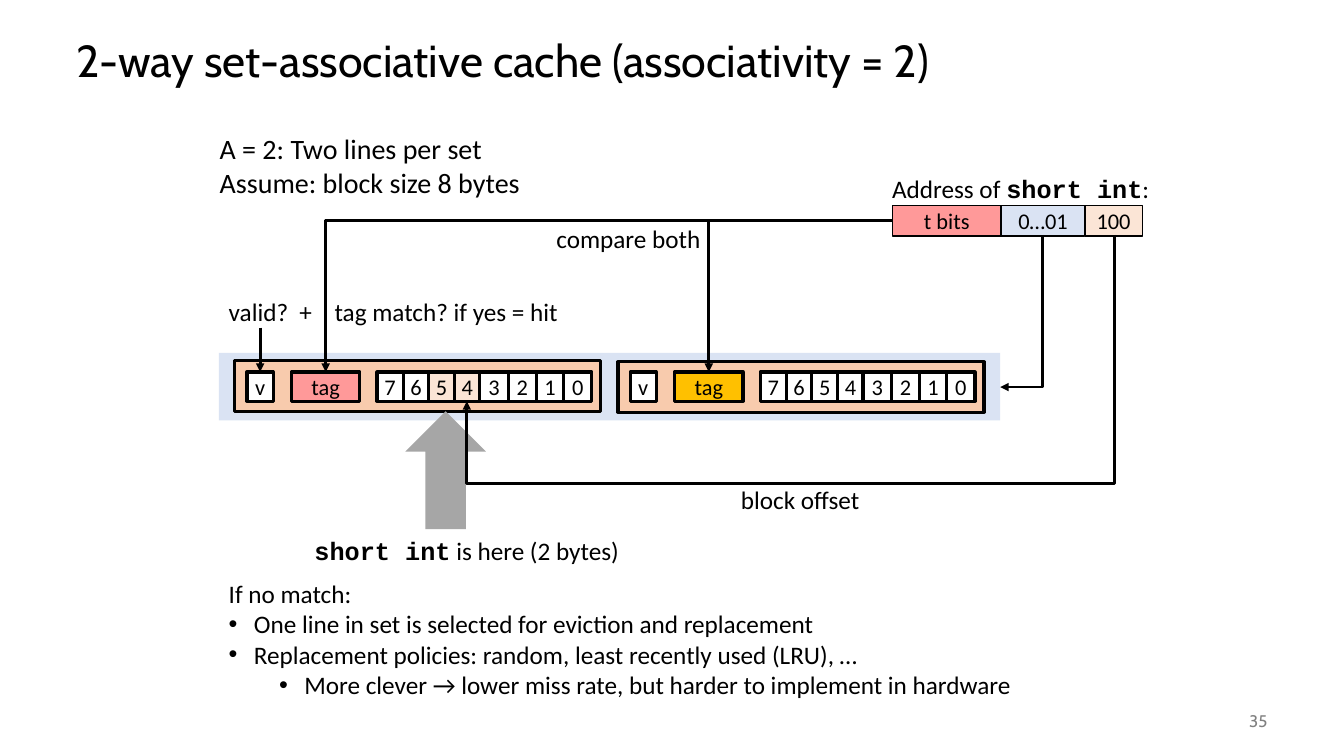
"""Build a slide on a two-way set-associative cache lookup."""
import itertools

import pptx
import pptx.dml.color
import pptx.enum.shapes
import pptx.enum.text
import pptx.oxml.ns
import pptx.util
from lxml import etree

PX = 9144
RGB = pptx.dml.color.RGBColor
SHAPE = pptx.enum.shapes.MSO_SHAPE
LINK = pptx.enum.shapes.MSO_CONNECTOR
ALIGN = pptx.enum.text.PP_ALIGN
ANCHOR = pptx.enum.text.MSO_ANCHOR
qn = pptx.oxml.ns.qn

BLACK = RGB(0x00, 0x00, 0x00)
WHITE = RGB(0xFF, 0xFF, 0xFF)
GRAY = RGB(0x80, 0x80, 0x80)
ARROW_GRAY = RGB(0xA6, 0xA6, 0xA6)
PINK = RGB(0xFF, 0x99, 0x99)
GOLD = RGB(0xFF, 0xC0, 0x00)
PALE_BLUE = RGB(0xDA, 0xE3, 0xF3)
PEACH = RGB(0xF8, 0xCB, 0xAD)
CREAM = RGB(0xFB, 0xE5, 0xD6)

TITLE = "2-way set-associative cache (associativity = 2)"
PAGE = "35"
ASSUMPTIONS = ["A = 2: Two lines per set", "Assume: block size 8 bytes"]
LABELS = [
    ("Address of `short int`:", (875, 167, 277, 40)),
    ("compare both", (542, 217, 167, 40)),
    ("tag match? if yes = hit", (322, 289, 249, 40)),
    ("block offset", (725, 476, 142, 40)),
    ("`short int` is here (2 bytes)", (302, 526, 325, 40)),
]
VALID = "valid?\t+"
NO_MATCH = [
    "If no match:",
    "One line in set is selected for eviction and replacement",
    "Replacement policies: random, least recently used (LRU), …",
    "More clever → lower miss rate, but harder to implement in hardware",
]
NO_MATCH_INDENTS = [0, 25, 25, 75]
ADDRESS = [("t bits", 108, PINK), ("0…01", 83, PALE_BLUE), ("100", 57, CREAM)]
ADDRESS_LEFT, ADDRESS_TOP, ADDRESS_HEIGHT = 885, 204, 30
LINES = [(233, 358, PINK, "54"), (613, 359, GOLD, "")]
BYTES = "76543210"
BYTE_WIDTHS = [26, 25, 26, 25, 28, 28, 27, 28]
CELL_TOP, CELL_HEIGHT = 369, 29

prs = pptx.Presentation()
prs.slide_width, prs.slide_height = 1333 * PX, 750 * PX
s = prs.slides.add_slide(prs.slide_layouts[6])


def emu(box):
    """Turn px lengths into EMU."""
    return [round(v * PX) for v in box]


def write(sp, text, size=18, font="Calibri", color=BLACK, align=ALIGN.LEFT,
          anchor=ANCHOR.TOP, wrap=False, grow=False, spacing=None,
          indents=(), tab=None):
    """Fill a shape with paragraphs; backticks mark code."""
    tf = sp.text_frame
    tf.word_wrap, tf.vertical_anchor = wrap, anchor
    if grow:
        tf.auto_size = pptx.enum.text.MSO_AUTO_SIZE.SHAPE_TO_FIT_TEXT
    lines = [text] if isinstance(text, str) else text
    for i, (line, indent) in enumerate(
            itertools.zip_longest(lines, indents, fillvalue=0)):
        p = tf.add_paragraph() if i else tf.paragraphs[0]
        p.alignment, p.line_spacing = align, spacing
        pPr = p._p.get_or_add_pPr()
        if indent:
            p.level = int(indent > 50)
            pPr.set("marL", str(indent * PX))
            pPr.set("indent", str(-25 * PX))
            etree.SubElement(pPr, qn("a:buFont"), typeface="Arial")
            etree.SubElement(pPr, qn("a:buChar"), char="•")
        if tab:
            tabs = etree.SubElement(pPr, qn("a:tabLst"))
            etree.SubElement(tabs, qn("a:tab"), pos=str(tab * PX), algn="l")
        for j, part in enumerate(line.split("`")):
            if part:
                r = p.add_run()
                r.text = part
                r.font.size = pptx.util.Pt(size)
                r.font.name = "Courier New" if j % 2 else font
                r.font.bold = bool(j % 2)
                r.font.color.rgb = color


def label(text, box, **fmt):
    """Add a text box."""
    write(s.shapes.add_textbox(*emu(box)), text, **fmt)


def block(box, fill, text=None, line=None, kind=SHAPE.RECTANGLE, wrap=False):
    """Add a filled shape, optionally outlined and lettered."""
    sp = s.shapes.add_shape(kind, *emu(box))
    sp.shadow.inherit = False
    sp.fill.solid()
    sp.fill.fore_color.rgb = fill
    if line:
        sp.line.color.rgb, sp.line.width = BLACK, pptx.util.Pt(line)
    else:
        sp.line.fill.background()
    if text:
        write(sp, text, size=16, align=ALIGN.CENTER, anchor=ANCHOR.MIDDLE,
              wrap=wrap)


def arrow(start, end, kind=LINK.STRAIGHT):
    """Add an arrow between two points."""
    cxn = s.shapes.add_connector(kind, *emu(start + end))
    cxn.line.color.rgb, cxn.line.width = BLACK, pptx.util.Pt(2)
    etree.SubElement(cxn.line._get_or_add_ln(), qn("a:tailEnd"), type="triangle")
    etree.SubElement(cxn._element.spPr, qn("a:effectLst"))
    return cxn


def elbow(start, end, down_first=False, turn=None):
    """Add a bent arrow running left and down, or down to a turn and back."""
    (x1, y1), (x2, y2) = start, end
    w, h = x1 - x2, y2 - y1
    left, top = x2, y1
    if down_first:
        left, top, w, h = x2 + (w - h) / 2, y1 + (h - w) / 2, h, w
    cxn = arrow((left, top), (left + w, top + h), LINK.ELBOW)
    xfrm = cxn._element.spPr.find(qn("a:xfrm"))
    xfrm.set("rot", str((90 if down_first else 180) * 60000))
    if not down_first:
        xfrm.set("flipV", "1")
    geom = cxn._element.spPr.find(qn("a:prstGeom"))
    if turn is None:
        geom.set("prst", "bentConnector2")
    else:
        ratio = round((turn - y1) / (y2 - y1) * 100000)
        guides = geom.get_or_add_avLst()
        etree.SubElement(guides, qn("a:gd"), name="adj1", fmla=f"val {ratio}")


label(TITLE, (66, 25, 1200, 75), size=32, font="Cabin", wrap=True,
      anchor=ANCHOR.MIDDLE, spacing=0.9)
label(ASSUMPTIONS, (208, 126, 321, 77), size=20, grow=True)

x = ADDRESS_LEFT
field_centers = []
for name, width, fill in ADDRESS:
    block((x, ADDRESS_TOP, width, ADDRESS_HEIGHT), fill, name, line=1, wrap=True)
    field_centers.append(x + width // 2)
    x += width

block((217, 350, 775, 67), PALE_BLUE)
for left, top, tag_fill, wanted in LINES:
    block((left, top, 363, 50), PEACH, line=2.25)
    cells = [(12, 26, "v", WHITE), (56, 68, "tag", tag_fill)]
    offsets = itertools.accumulate(BYTE_WIDTHS, initial=141)
    cells += [(dx, width, byte, CREAM if byte in wanted else WHITE)
              for dx, width, byte in zip(offsets, BYTE_WIDTHS, BYTES)]
    for dx, width, name, fill in cells:
        block((left + dx, CELL_TOP, width, CELL_HEIGHT), fill, name, line=2.25)

address_bottom = ADDRESS_TOP + ADDRESS_HEIGHT - 1
elbow((field_centers[1], address_bottom), (992, 384), down_first=True)
for left, *_ in LINES:
    elbow((ADDRESS_LEFT, ADDRESS_TOP + 15), (left + 90, CELL_TOP))
arrow((258, 325), (258, CELL_TOP))
block((402, 408, 80, 117), ARROW_GRAY, kind=SHAPE.UP_ARROW)

for text, box in LABELS:
    label(text, box, grow=True)
label(VALID, (217, 289, 112, 40), wrap=True, grow=True, tab=70)
label(NO_MATCH, (217, 569, 805, 131), grow=True, indents=NO_MATCH_INDENTS)
elbow((field_centers[2] + 1, address_bottom), (463, CELL_TOP + CELL_HEIGHT),
      down_first=True, turn=480)
label(PAGE, (1167, 695, 100, 40), size=12, font="Cabin", color=GRAY, wrap=True,
      align=ALIGN.RIGHT, anchor=ANCHOR.MIDDLE)

prs.save("out.pptx")
